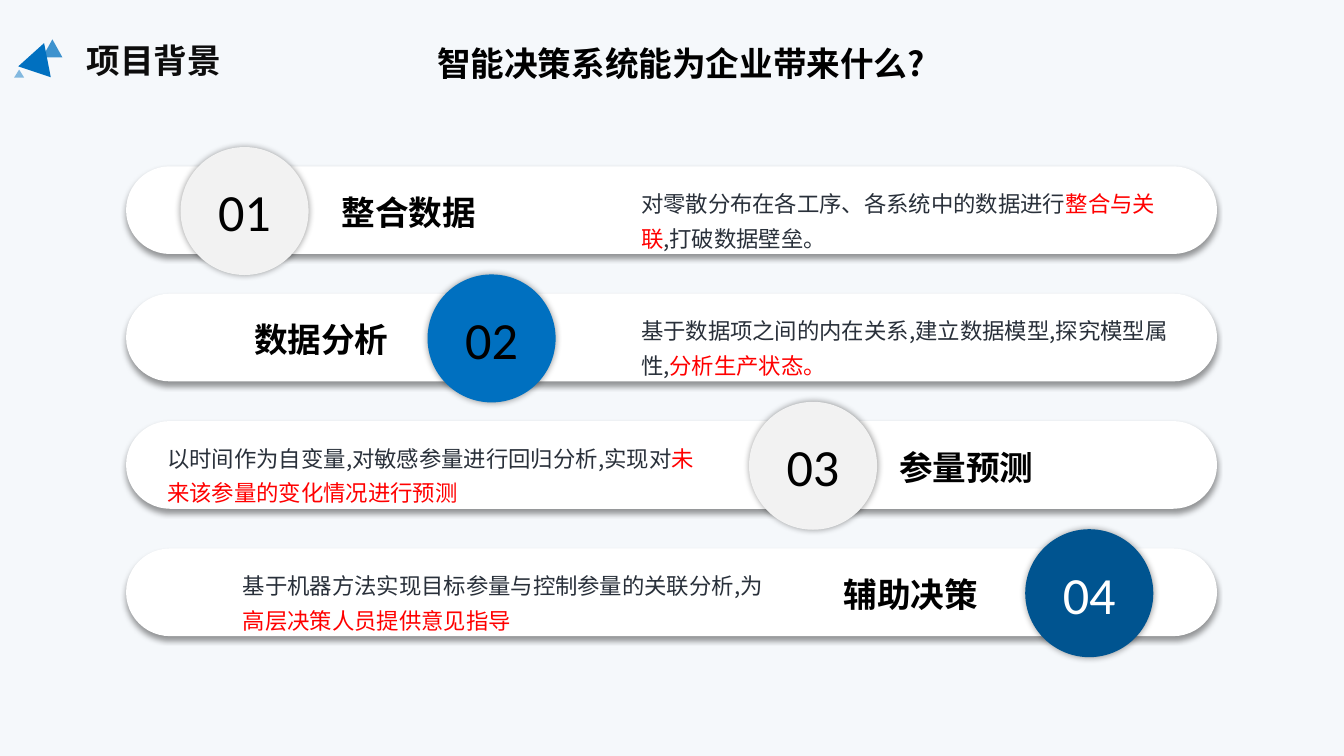
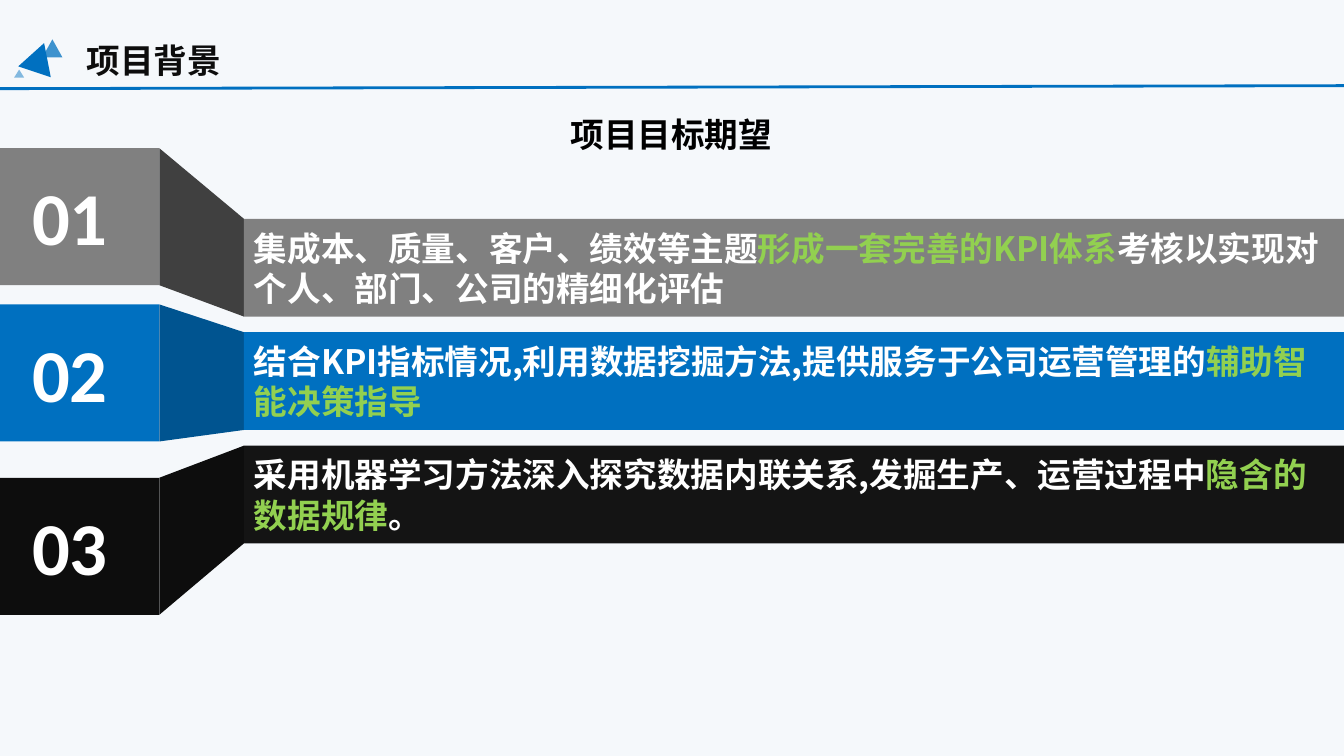
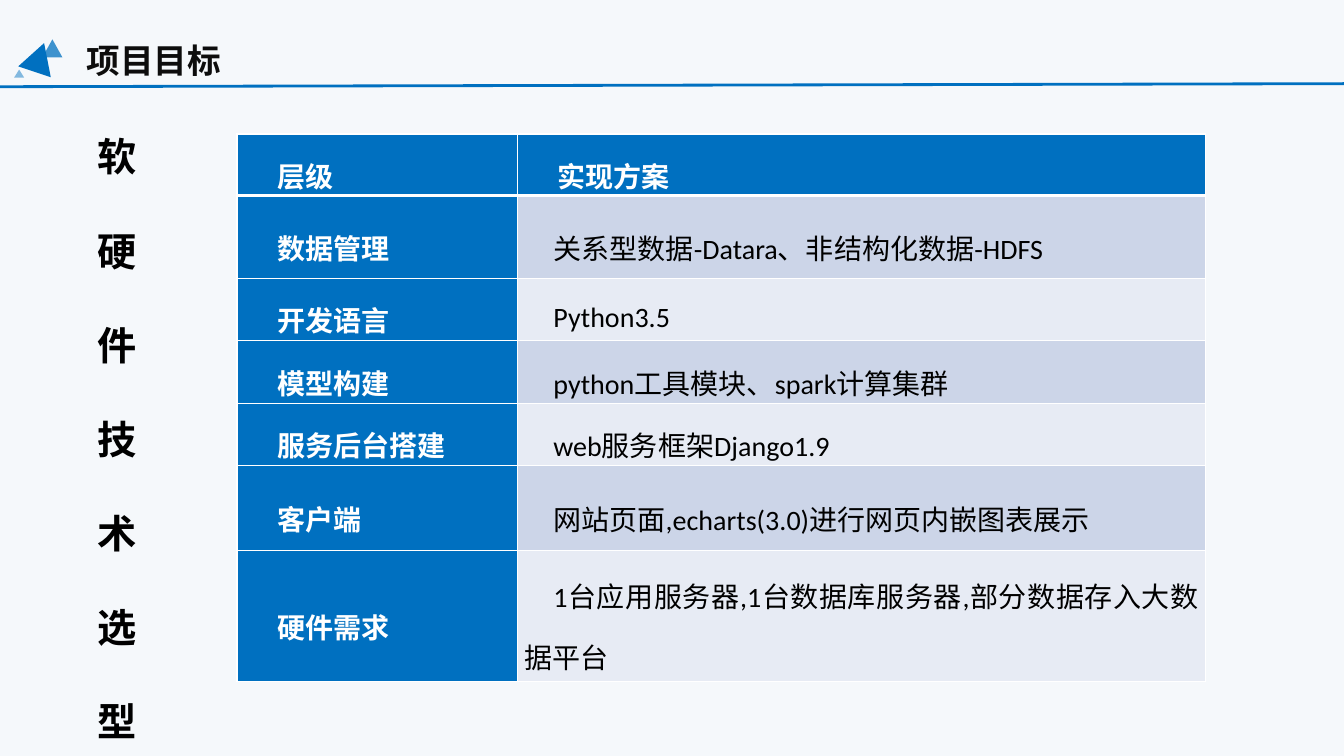
import pptx
import pptx.dml.color
import pptx.enum.shapes
import pptx.enum.text
import pptx.oxml
import pptx.oxml.ns
import pptx.util
from lxml import etree

RGBColor = pptx.dml.color.RGBColor
SHAPE = pptx.enum.shapes.MSO_SHAPE
ALIGN = pptx.enum.text.PP_ALIGN
ANCHOR = pptx.enum.text.MSO_ANCHOR
AUTO = pptx.enum.text.MSO_AUTO_SIZE
Pt = pptx.util.Pt
qn = pptx.oxml.ns.qn

# Shared colours and fonts
PAPER = RGBColor(0xF5, 0xF8, 0xFB)
WHITE = RGBColor(0xFF, 0xFF, 0xFF)
BLACK = RGBColor(0, 0, 0)
INK = RGBColor(0x0D, 0x0D, 0x0D)
SLATE = RGBColor(0x29, 0x30, 0x3A)
BLUE = RGBColor(0, 0x70, 0xC0)
NAVY = RGBColor(0, 0x54, 0x90)
SILVER = RGBColor(0xF2, 0xF2, 0xF2)
GREY = RGBColor(0x80, 0x80, 0x80)
DARK = RGBColor(0x40, 0x40, 0x40)
RED = RGBColor(0xFF, 0, 0)
GREEN = RGBColor(0x92, 0xD0, 0x50)
STRIPES = (RGBColor(0xCC, 0xD5, 0xE8), RGBColor(0xE7, 0xEB, 0xF4))
SANS = "Noto Sans CJK SC"
LATIN = "Calibri"

prs = pptx.Presentation()
prs.slide_width = pptx.util.Inches(13.33)
prs.slide_height = pptx.util.Inches(7.5)
bg = prs.slide_master.background.fill
bg.solid()
bg.fore_color.rgb = PAPER


# The grid has 100 columns and 100 rows over the whole slide
def col(n):
    return round(prs.slide_width * n / 100)


def row(n):
    return round(prs.slide_height * n / 100)


def grid(box):
    x, y, w, h = box
    return col(x), row(y), col(w), row(h)


def add_xml(parent, tag, **attrs):
    el = etree.SubElement(parent, qn(tag))
    for key, value in attrs.items():
        el.set(key, str(value))
    return el


def write(tf, spans, size=24, font=SANS, color=BLACK, bold=False,
          align=ALIGN.LEFT, spacing=None, anchor=ANCHOR.TOP, wrap=True):
    """Fill a text frame with one paragraph; spans are texts or (text, colour)."""
    tf.word_wrap = wrap
    tf.vertical_anchor = anchor
    p = tf.paragraphs[0]
    p.alignment = align
    if spacing:
        p.line_spacing = spacing
    for span in [spans] if isinstance(spans, str) else spans:
        text, shade = (span, color) if isinstance(span, str) else span
        r = p.add_run()
        r.text = text
        r.font.size = Pt(size)
        r.font.bold = bold
        r.font.name = font
        add_xml(r.font._element, "a:ea", typeface=SANS)
        r.font.color.rgb = shade
    return p


def add_text(s, box, spans, **fmt):
    tf = s.shapes.add_textbox(*grid(box)).text_frame
    write(tf, spans, **fmt)
    tf.auto_size = AUTO.SHAPE_TO_FIT_TEXT


def paint(sp, color, alpha=100):
    sp.shadow.inherit = False
    sp.line.fill.background()
    sp.fill.solid()
    sp.fill.fore_color.rgb = color
    if alpha < 100:
        clr = sp.fill._xPr.find(qn("a:solidFill"))[0]
        add_xml(clr, "a:alpha", val=alpha * 1000)
    return sp


def add_shape(s, kind, box, color, alpha=100):
    return paint(s.shapes.add_shape(kind, *grid(box)), color, alpha)


def cast_shadow(sp, blur, dist=0, angle=0):
    effects = sp._element.spPr.find(qn("a:effectLst"))
    shadow = add_xml(effects, "a:outerShdw", blurRad=Pt(blur), dist=Pt(dist),
                     dir=angle * 60000, algn="ctr", rotWithShape=0)
    add_xml(add_xml(shadow, "a:srgbClr", val=BLACK), "a:alpha", val=40000)


# Slide frame: title, triangle mark and optional rule
def add_slide(title, rule_y=None):
    s = prs.slides.add_slide(prs.slide_layouts[5])
    sp = s.shapes.title
    sp.left, sp.top, sp.width, sp.height = grid((5.7, 4.67, 39, 6.67))
    write(sp.text_frame, title, color=INK, bold=True)
    sp.text_frame.auto_size = AUTO.NONE
    for box, alpha, turn in (((3.15, 5.2, 1.5, 2.4), 75, 0),
                             ((1.65, 5.6, 2.55, 4), 100, 18.5),
                             ((1.05, 9.2, 0.75, 1.07), 47, 0)):
        add_shape(s, SHAPE.ISOSCELES_TRIANGLE, box, BLUE, alpha).rotation = turn
    if rule_y:
        rule = s.shapes.add_connector(pptx.enum.shapes.MSO_CONNECTOR.STRAIGHT,
                                      0, row(rule_y), col(100), row(rule_y - 0.4))
        rule.line.color.rgb = BLUE
        rule.line.width = Pt(2)
        add_xml(rule._element.spPr, "a:effectLst")
    return s


def add_heading(s, box, text):
    add_text(s, box, text, bold=True, align=ALIGN.CENTER)


# Rounded bar with a numbered disc, a name and a detail
def benefit_bar(s, box, number, disc, disc_x, name, name_x, detail, detail_x):
    x, y, w, h = box
    bar = add_shape(s, SHAPE.ROUNDED_RECTANGLE, box, WHITE)
    bar.adjustments[0] = 0.5
    cast_shadow(bar, 4, 3, 90)
    add_text(s, (x + detail_x, y + 1.4, 40.85, 10.3), detail,
             size=16, color=SLATE, spacing=1.3)
    add_text(s, (x + name_x, y + 2.7, 11.7, 6.67), name,
             font=LATIN, bold=True, wrap=False)
    sp = add_shape(s, SHAPE.OVAL, (x + disc_x, y - 2.55, 9.53, 16.93), disc)
    cast_shadow(sp, 5)
    write(sp.text_frame, number, size=37.3, font=LATIN,
          color=WHITE if disc == NAVY else BLACK,
          align=ALIGN.CENTER, anchor=ANCHOR.MIDDLE)


# Numbered tab folding into a text band
def goal_band(s, tab, band, number, front, side, spans, alpha=100):
    tab_x, tab_y, tab_w, tab_h = tab
    band_x, band_y, _, band_h = band
    edge = tab_x + tab_w
    add_shape(s, SHAPE.RECTANGLE, tab, front)
    corners = [(edge, tab_y), (band_x, band_y),
               (band_x, band_y + band_h), (edge, tab_y + tab_h)]
    points = [(col(x), row(y)) for x, y in corners]
    fold = s.shapes.build_freeform(*points[0])
    fold.add_line_segments(points[1:], close=True)
    paint(fold.convert_to_shape(), side)
    add_text(s, (tab_x + 1.65, tab_y + 2.4, 7.8, 13.33), number,
             size=53.3, font=LATIN, color=WHITE, bold=True, wrap=False)
    sp = add_shape(s, SHAPE.RECTANGLE, band, front, alpha)
    write(sp.text_frame, spans, color=WHITE, bold=True, anchor=ANCHOR.MIDDLE)


# Technology table
def border_cell(cell, bottom):
    tcPr = cell._tc.get_or_add_tcPr()
    for side, width in (("L", 1), ("R", 1), ("T", 1), ("B", bottom)):
        ln = add_xml(tcPr, "a:ln" + side, w=Pt(width))
        add_xml(add_xml(ln, "a:solidFill"), "a:srgbClr", val=WHITE)


def tech_table(s, x, y, widths, heights, rows):
    box = (x, y, sum(widths), sum(heights))
    table = s.shapes.add_table(len(rows), len(widths), *grid(box)).table
    for column, width in zip(table.columns, widths):
        column.width = col(width)
    for i, texts in enumerate(rows):
        table.rows[i].height = row(heights[i])
        for j, text in enumerate(texts):
            cell = table.cell(i, j)
            head = i == 0 or j == 0
            border_cell(cell, 3 if i == 0 else 1)
            cell.fill.solid()
            cell.fill.fore_color.rgb = BLUE if head else STRIPES[(i - 1) % 2]
            cell.margin_left = cell.margin_right = pptx.util.Inches(0.07)
            cell.margin_top = cell.margin_bottom = 0
            p = write(cell.text_frame, text, size=20, font=LATIN, bold=head,
                      color=WHITE if head else BLACK,
                      align=ALIGN.JUSTIFY, spacing=1.5)
            cell.vertical_anchor = ANCHOR.MIDDLE
            pPr = p._p.get_or_add_pPr()
            pPr.set("marL", "0")
            pPr.set("indent", str(pptx.util.Inches(0.33 if head else 0.29)))


# Slide 1: benefits
s = add_slide("项目背景")
benefits = [
    (SILVER, 4.05, "整合数据", 15.3,
     ["对零散分布在各工序、各系统中的数据进行", ("整合与关联", RED),
      ",打破数据壁垒。".replace(",", ",")], 37.58),
    (BLUE, 22.43, "数据分析", 8.78,
     ["基于数据项之间的内在关系,建立数据模型,探究模型属性,",
      ("分析生产状态。", RED)], 37.58),
    (SILVER, 46.35, "参量预测", 56.78,
     ["以时间作为自变量,对敏感参量进行回归分析,实现对",
      ("未来该参量的变化情况进行预测", RED)], 2.33),
    (NAVY, 66.9, "辅助决策", 52.65,
     ["基于机器方法实现目标参量与控制参量的关联分析,为",
      ("高层决策人员提供意见指导", RED)], 7.95),
]
for i, benefit in enumerate(benefits):
    benefit_bar(s, (9.38, 22 + 16.85 * i, 81.17, 11.6), f"{i + 1:02}", *benefit)
add_heading(s, (31.65, 5.07, 36.75, 6.67), "智能决策系统能为企业带来什么?")

# Slide 2: goals
s = add_slide("项目背景", rule_y=11.73)
add_heading(s, (27.9, 14.4, 44.1, 6.67), "项目目标期望")
goals = [
    (19.6, GREY, DARK,
     ["集成本、质量、客户、绩效等主题", ("形成一套完善的KPI体系", GREEN),
      "考核以实现对个人、部门、公司的精细化评估"]),
    (40.27, BLUE, NAVY,
     ["结合KPI指标情况,利用数据挖掘方法,提供服务于公司运营管理的",
      ("辅助智能决策指导", GREEN)]),
    (63.2, INK, INK,
     ["采用机器学习方法深入探究数据内联关系,发掘生产、运营过程中",
      ("隐含的数据规律", GREEN), "。"], 97),
]
for i, (tab_y, *goal) in enumerate(goals):
    goal_band(s, (0, tab_y, 11.85, 18.13), (18.15, 28.95 + 15 * i, 81.85, 12.93),
              f"{i + 1:02}", *goal)

# Slide 3: technology choices
s = add_slide("项目目标", rule_y=11.47)
add_text(s, (5.7, 10.67, 6.08, 89.33), "软硬件技术选型", size=28, bold=True,
         align=ALIGN.CENTER, spacing=2.0)
tech_table(s, 17.63, 17.73, (20.85, 51.23),
           (8.13, 10.93, 8.27, 8.27, 8.27, 11.2, 17.33), [
    ("层级", "实现方案"),
    ("数据管理", "关系型数据-Datara、非结构化数据-HDFS"),
    ("开发语言", "Python3.5"),
    ("模型构建", "python工具模块、spark计算集群"),
    ("服务后台搭建", "web服务框架Django1.9"),
    ("客户端", "网站页面,echarts(3.0)进行网页内嵌图表展示"),
    ("硬件需求", "1台应用服务器,1台数据库服务器,部分数据存入大数据平台"),
])

prs.save("out.pptx")
